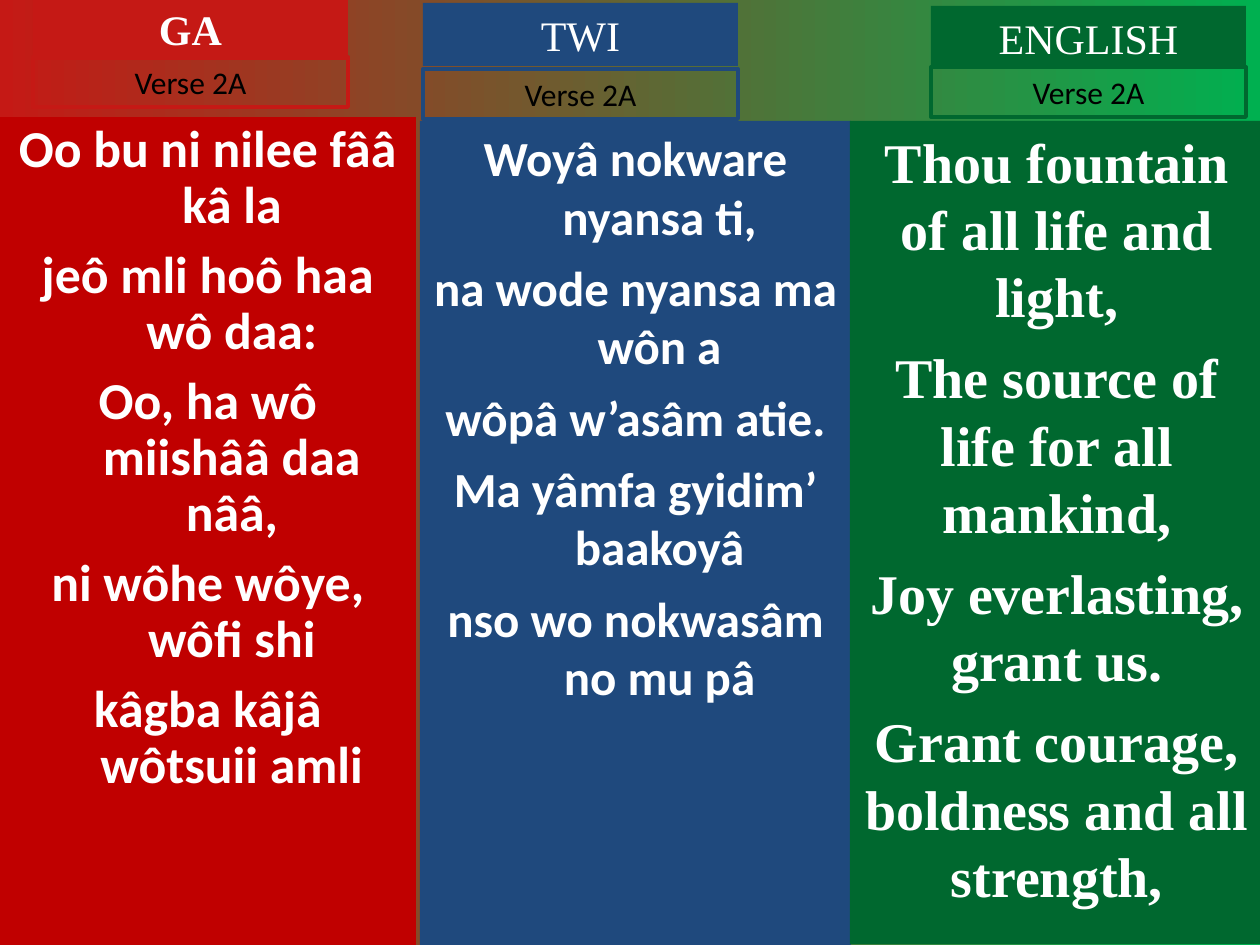
from dataclasses import dataclass
from pptx import Presentation
from pptx.dml.color import RGBColor
from pptx.enum.shapes import MSO_SHAPE
from pptx.enum.text import MSO_ANCHOR, MSO_AUTO_SIZE, PP_ALIGN
from pptx.util import Pt

SCALE = 914400 / 126


@dataclass(frozen=True)
class Theme:
    """Colours, fonts and type sizes of the slide."""
    red: str = "C51915"
    deep: str = "C00000"
    blue: str = "1F497D"
    green: str = "00682F"
    bright: str = "00B050"
    white: str = "FFFFFF"
    black: str = "000000"
    sans: str = "Calibri"
    serif: str = "Times New Roman"
    head: int = 24
    tag: int = 18
    line: float = 2.25


THEME = Theme()


def px(num):
    """Turn pixels into EMU."""
    return round(num * SCALE)


def panel(slide, box, fill=None, line=None):
    """Draw a rectangle with a plain fill or a plain outline."""
    shape = slide.shapes.add_shape(MSO_SHAPE.RECTANGLE, *map(px, box))
    shape.shadow.inherit = False
    if fill:
        shape.fill.solid()
        shape.fill.fore_color.rgb = RGBColor.from_string(fill)
    else:
        shape.fill.background()
    if line:
        shape.line.color.rgb = RGBColor.from_string(line)
        shape.line.width = Pt(THEME.line)
    else:
        shape.line.fill.background()
    return shape


def write(shape, text, font, size, color, bold=False, gap=0, hang=0, lead=None):
    """Set centred text from the top of a shape, one paragraph per line."""
    frame = shape.text_frame
    frame.text = text
    frame.word_wrap = True
    frame.vertical_anchor = MSO_ANCHOR.TOP
    for num, para in enumerate(frame.paragraphs):
        para.alignment = PP_ALIGN.CENTER
        if num and gap:
            para.space_before = Pt(gap)
        if lead:
            para.line_spacing = lead
        if hang:
            props = para._p.get_or_add_pPr()
            props.set("marL", str(px(hang)))
            props.set("indent", str(-px(hang)))
        for run in para.runs:
            run.font.name = font
            run.font.size = Pt(size)
            run.font.bold = bold
            run.font.color.rgb = RGBColor.from_string(color)


def column(slide, box, fill, edge, title, lines, body, head, tag, strong=False):
    """Place a verse panel with its language title and verse label above."""
    left, top, _, _ = box
    write(panel(slide, box, fill), "\n".join(lines), color=THEME.white,
          bold=True, **body)
    name = panel(slide, (left + head[0], top + head[1], 315, 63), edge)
    write(name, title, THEME.serif, THEME.head, THEME.white, strong)
    label = panel(slide, (left + tag[0], top + tag[1], 315, 50), line=edge)
    write(label, "Verse 2A", THEME.sans, THEME.tag, THEME.black)
    for shape in (name, label):
        shape.text_frame.auto_size = MSO_AUTO_SIZE.SHAPE_TO_FIT_TEXT


def backdrop(slide):
    """Fill the background with a gradient from red to green."""
    fill = slide.background.fill
    fill.gradient()
    fill.gradient_angle = 0
    for stop, color in zip(fill.gradient_stops, (THEME.red, THEME.bright)):
        stop.color.rgb = RGBColor.from_string(color)


def main():
    """Build the hymn slide in three languages."""
    deck = Presentation()
    deck.slide_width, deck.slide_height = px(1260), px(945)
    slide = deck.slides.add_slide(deck.slide_layouts[6])
    backdrop(slide)
    column(slide, (0, 117, 416, 828), THEME.deep, THEME.red, "GA",
           ["Oo bu ni nilee fââ kâ la",
            "jeô mli hoô haa wô daa:",
            "Oo, ha wô miishââ daa nââ,",
            "ni wôhe wôye, wôfi shi",
            "kâgba kâjâ wôtsuii amli"],
           dict(font=THEME.sans, size=29.6, gap=8, hang=48, lead=0.9),
           (33, -120), (33, -60), strong=True)
    column(slide, (420, 121, 431, 824), THEME.blue, THEME.blue, "TWI",
           ["Woyâ nokware nyansa ti,",
            "na wode nyansa ma wôn a",
            "wôpâ w’asâm atie.",
            "Ma yâmfa gyidim’ baakoyâ",
            "nso wo nokwasâm no mu pâ"],
           dict(font=THEME.sans, size=28, gap=7, hang=48),
           (3, -118), (3, -52))
    column(slide, (850, 121, 414, 823), THEME.green, THEME.green, "ENGLISH",
           ["Thou fountain of all life and light,",
            "The source of life for all mankind,",
            "Joy everlasting, grant us.",
            "Grant courage, boldness and all strength,"],
           dict(font=THEME.serif, size=32, gap=8),
           (81, -115), (81, -54))
    deck.save("out.pptx")


if __name__ == "__main__":
    main()
